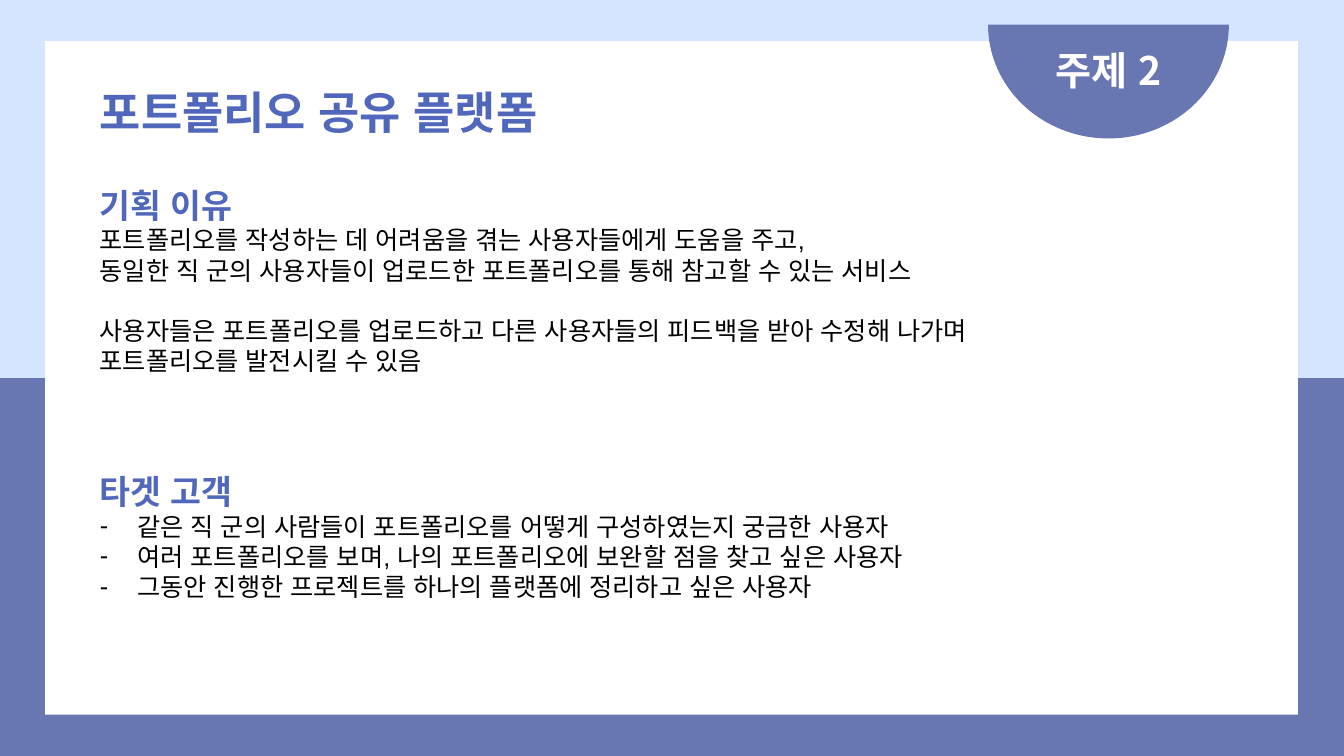
from dataclasses import dataclass

from lxml import etree
from pptx import Presentation
from pptx import util as u
from pptx.dml.color import RGBColor
from pptx.enum import shapes, text
from pptx.oxml import ns


@dataclass(frozen=True)
class Theme:
    """Colours, fonts and type sizes of the deck."""
    sky: str = "D5E5FF"
    slate: str = "6876B2"
    accent: str = "5067BC"
    paper: str = "FFFFFF"
    ink: str = "000000"
    display: str = "Noto Sans CJK KR"
    plain: str = "Arial"
    title: int = 32
    badge: int = 28
    heading: int = 24
    body: int = 18
    leading: float = 1.2


@dataclass(frozen=True)
class Box:
    """A region of the page, in centimetres."""
    left: float
    top: float
    width: float
    height: float

    def lengths(self):
        """Return the region as lengths."""
        return [u.Cm(side) for side in (self.left, self.top, self.width, self.height)]


THEME = Theme()
PAGE = Box(0, 0, 33.87, 19.05)
REASONS = ["포트폴리오를 작성하는 데 어려움을 겪는 사용자들에게 도움을 주고,",
           "동일한 직 군의 사용자들이 업로드한 포트폴리오를 통해 참고할 수 있는 서비스",
           "사용자들은 포트폴리오를 업로드하고 다른 사용자들의 피드백을 받아 수정해 나가며",
           "포트폴리오를 발전시킬 수 있음"]
CUSTOMERS = ["같은 직 군의 사람들이 포트폴리오를 어떻게 구성하였는지 궁금한 사용자",
             "여러 포트폴리오를 보며, 나의 포트폴리오에 보완할 점을 찾고 싶은 사용자",
             "그동안 진행한 프로젝트를 하나의 플랫폼에 정리하고 싶은 사용자"]


def add_panel(page, kind, box, colour):
    """Add a flat shape filled with one colour."""
    panel = page.shapes.add_shape(kind, *box.lengths())
    panel.shadow.inherit = False
    panel.fill.solid()
    panel.fill.fore_color.rgb = RGBColor.from_string(colour)
    panel.line.fill.background()
    return panel


def prepare_frame(holder, box):
    """Place a text holder and return its frame, set to plain top alignment."""
    holder.left, holder.top, holder.width, holder.height = box.lengths()
    frame = holder.text_frame
    frame.word_wrap = True
    frame.auto_size = text.MSO_AUTO_SIZE.NONE
    frame.vertical_anchor = text.MSO_ANCHOR.TOP
    return frame


def write_line(para, words, size, colour, bold=False, align=text.PP_ALIGN.LEFT,
               before=0, bullet=None):
    """Write one paragraph with its spacing, bullet and single run."""
    para.alignment = align
    para.line_spacing = u.Pt(size * THEME.leading)
    para.space_before = u.Pt(before)
    para.space_after = u.Pt(0)
    indent = u.Cm(0.95) if bullet else 0
    settings = para._p.get_or_add_pPr()
    settings.set("marL", str(indent))
    settings.set("indent", str(-indent))
    if bullet:
        etree.SubElement(settings, ns.qn("a:buChar"), char=bullet)
    else:
        etree.SubElement(settings, ns.qn("a:buNone"))
    span = para.add_run()
    span.text = words
    span.font.size = u.Pt(size)
    span.font.bold = bold
    span.font.color.rgb = RGBColor.from_string(colour)
    span.font.name = THEME.display if bold else THEME.plain
    etree.SubElement(span.font._element, ns.qn("a:ea"), typeface=THEME.plain)


def draw_backdrop(page, box):
    """Draw the two colour bands and the white sheet over them."""
    half = box.height / 2
    rectangle = shapes.MSO_SHAPE.RECTANGLE
    add_panel(page, rectangle, Box(box.left, box.top, box.width, half), THEME.sky)
    add_panel(page, rectangle, Box(box.left, box.top + half, box.width, half), THEME.slate)
    sheet = Box(box.left + 1.14, box.top + 1.04, box.width - 2.3, box.height - 2.08)
    add_panel(page, rectangle, sheet, THEME.paper)


def draw_badge(page, box, words):
    """Draw the half-round badge with its label."""
    pie = add_panel(page, shapes.MSO_SHAPE.PIE, box, THEME.slate)
    pie.adjustments[0] = 0
    pie.adjustments[1] = 108
    label = Box(box.left + 0.57, box.top + 3.29, box.width - 1.14, 1.45)
    frame = prepare_frame(page.shapes.add_textbox(*label.lengths()), label)
    write_line(frame.paragraphs[0], words, THEME.badge, THEME.paper, True,
               text.PP_ALIGN.CENTER)


def fill_title(holder, box, words):
    """Fill the title placeholder."""
    frame = prepare_frame(holder, box)
    write_line(frame.paragraphs[0], words, THEME.title, THEME.accent, True)


def fill_section(holder, box, heading, lines, bullet=None, gap_at=None):
    """Fill a body placeholder with a heading and its lines."""
    frame = prepare_frame(holder, box)
    write_line(frame.paragraphs[0], heading, THEME.heading, THEME.accent, True)
    for index, words in enumerate(lines):
        before = THEME.body * THEME.leading if index == gap_at else 0
        write_line(frame.add_paragraph(), words, THEME.body, THEME.ink,
                   before=before, bullet=bullet)


def build_topic_slide(deck, box):
    """Build the topic slide from the two-content layout."""
    page = deck.slides.add_slide(deck.slide_layouts[3])
    title, reason, customer = page.placeholders
    draw_backdrop(page, box)
    draw_badge(page, Box(box.left + 24.9, box.top - 2.25, 6.07, 5.74), "주제 2")
    for holder in (title, reason, customer):
        holder.element.getparent().append(holder.element)
    left = box.left + 2.26
    fill_title(title, Box(left, box.top + 2.01, 13.77, 1.63), "포트폴리오 공유 플랫폼")
    fill_section(reason, Box(left, box.top + 4.52, 26.85, 5.89), "기획 이유",
                 REASONS, gap_at=2)
    fill_section(customer, Box(left, box.top + 11.73, 26.85, 5.31), "타겟 고객",
                 CUSTOMERS, bullet="-")


def main():
    """Create and save the deck."""
    deck = Presentation()
    deck.slide_width, deck.slide_height = u.Cm(PAGE.width), u.Cm(PAGE.height)
    build_topic_slide(deck, PAGE)
    deck.save("out.pptx")


if __name__ == "__main__":
    main()
